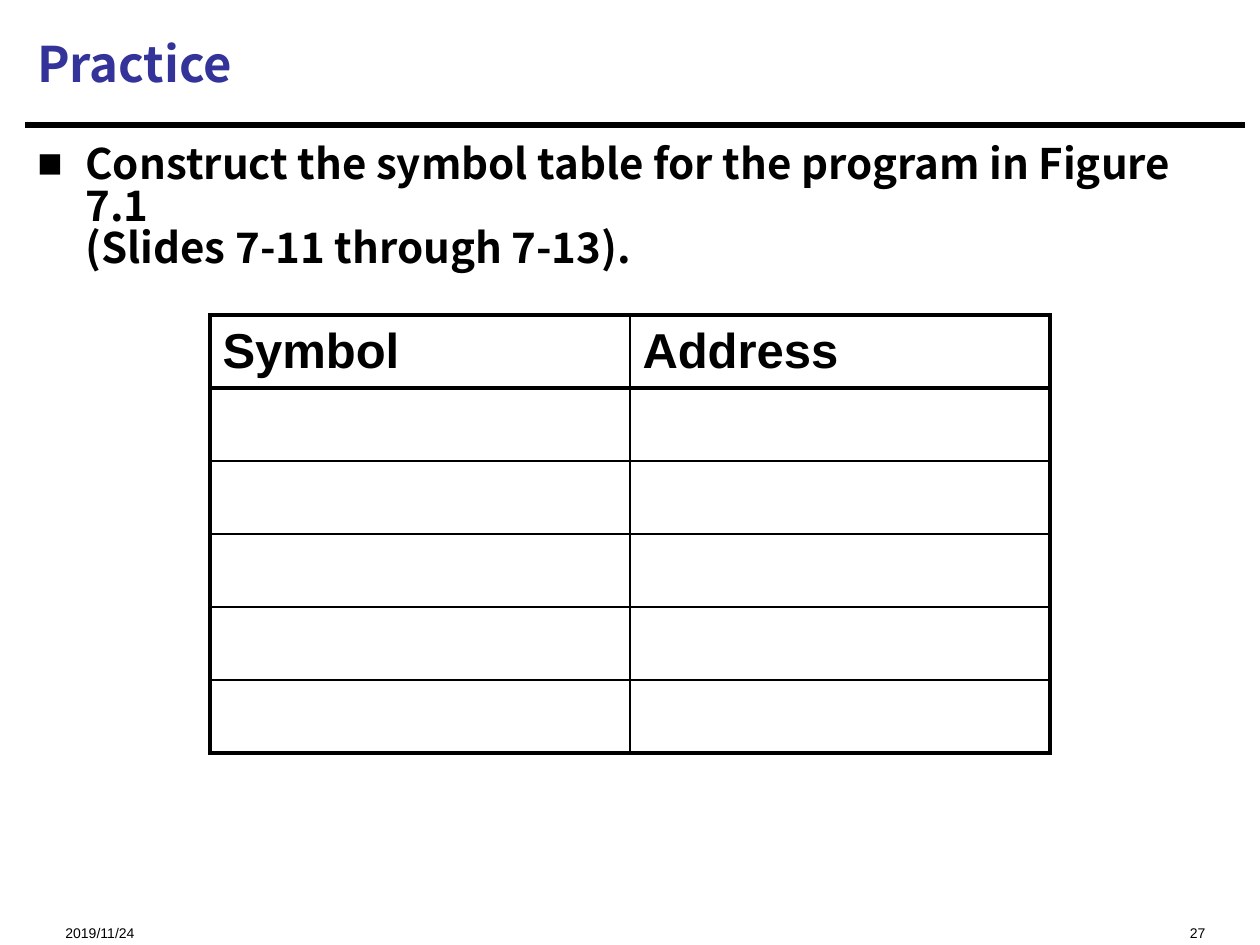
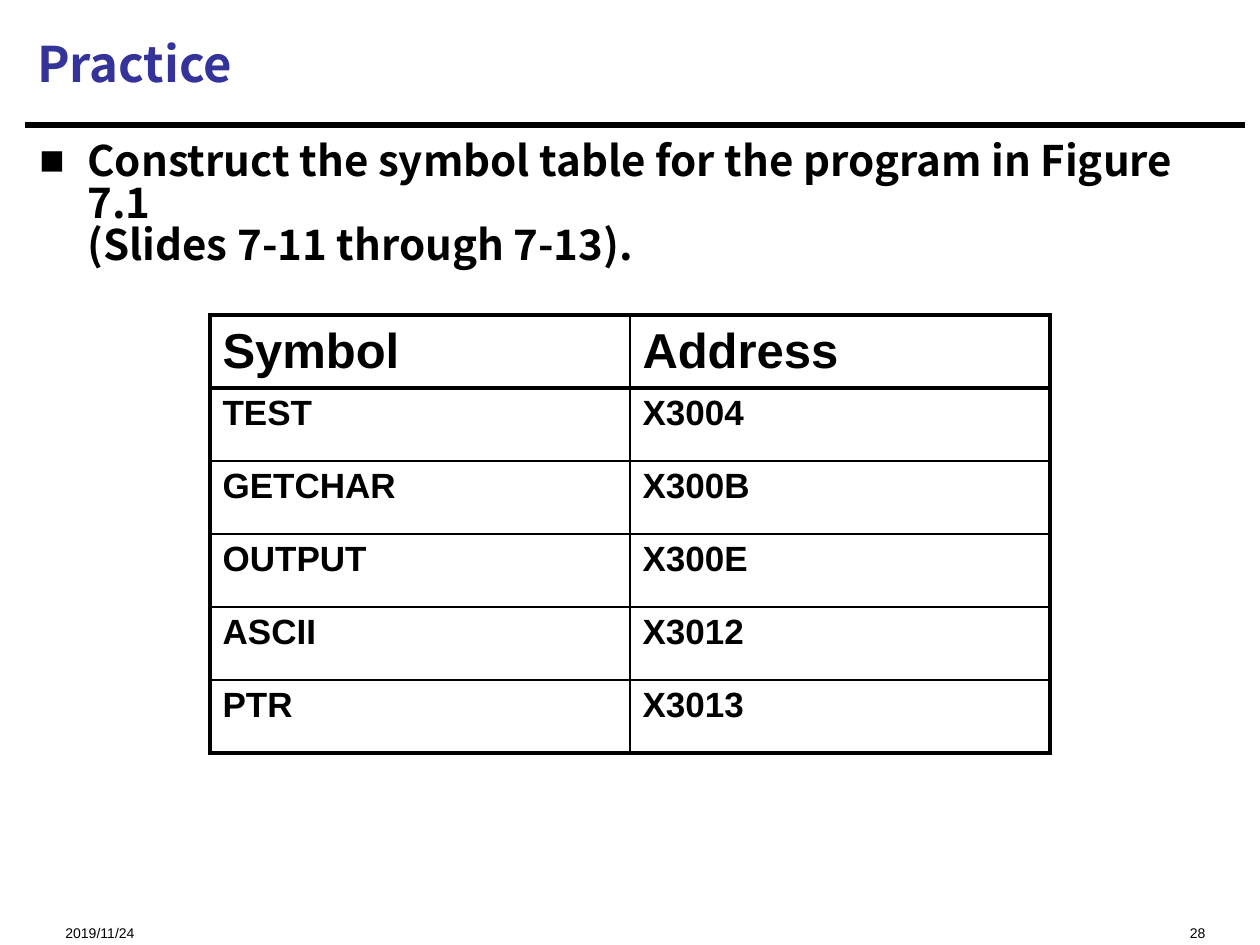
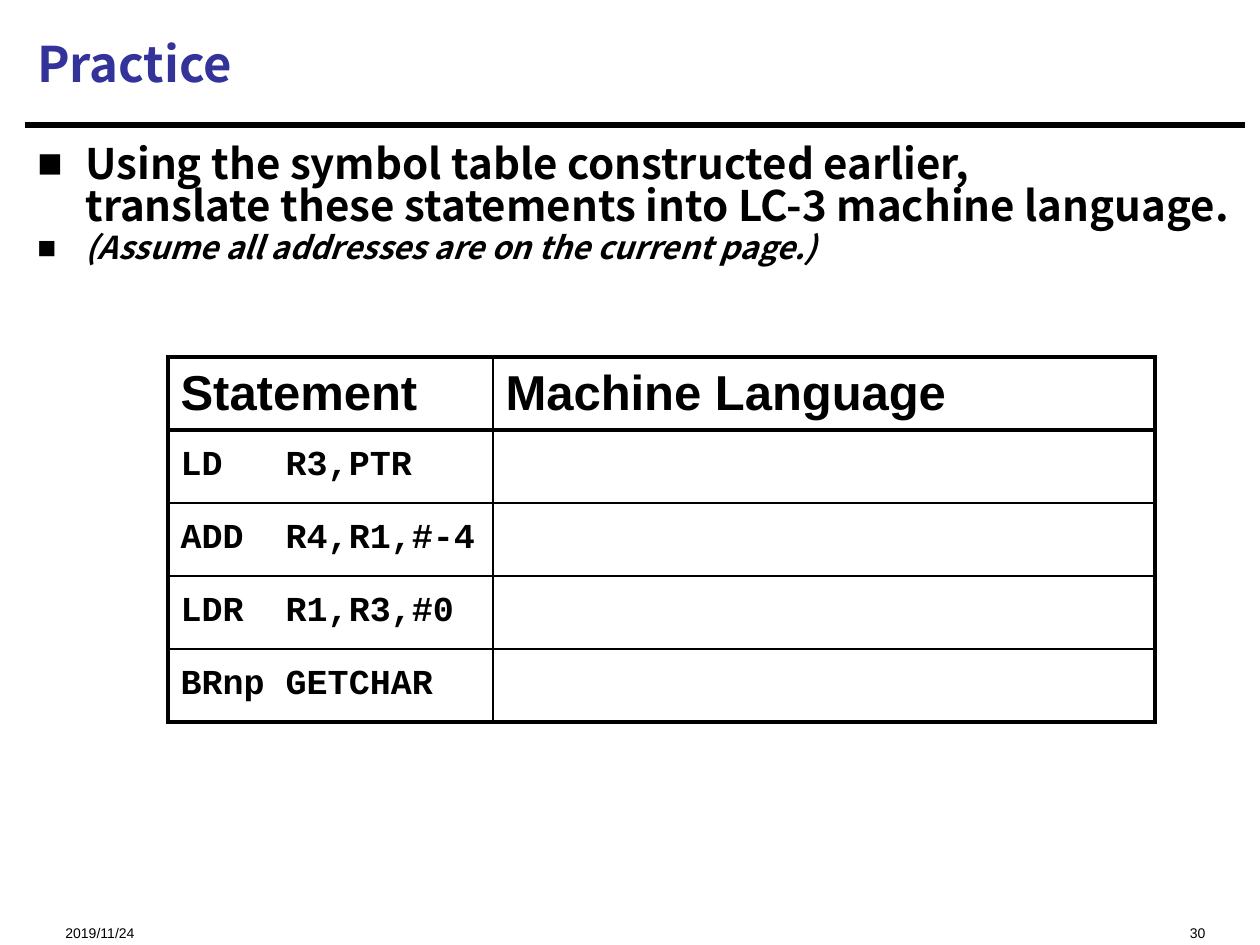
import lxml.etree
import pptx
import pptx.dml.color
import pptx.enum.shapes
import pptx.enum.text
import pptx.oxml.ns
import pptx.util

BLACK = pptx.dml.color.RGBColor(0, 0, 0)
BLUE = pptx.dml.color.RGBColor(0x33, 0x33, 0x99)
SANS = "Noto Sans CJK SC"
ARIAL = "Arial"
MONO = "Courier New"
ANCHOR = pptx.enum.text.MSO_ANCHOR
ALIGN = pptx.enum.text.PP_ALIGN
SCALE = 914400 / 126
DATE = "2019/11/24"
ROW = 73
THIN, THICK = 1, 2.25
TASK = "Construct the symbol table for the program in Figure 7.1\n(Slides 7-11 through 7-13)."
NAMES = ["Symbol", "Address"]


def px(size):
    return pptx.util.Emu(round(size * SCALE))


def add(parent, tag, **attrs):
    return lxml.etree.SubElement(parent, pptx.oxml.ns.qn(tag), attrs)


def style(para, face, size, color=BLACK, bold=False, slant=False):
    font = para.font
    font.name = face
    font.size = pptx.util.Pt(size)
    font.color.rgb = color
    font.bold = bold
    font.italic = slant


def box(slide, left, top, width, height, inset=6, anchor=ANCHOR.TOP):
    frame = slide.shapes.add_textbox(px(left), px(top), px(width), px(height)).text_frame
    frame.word_wrap = True
    frame.vertical_anchor = anchor
    frame.margin_top = px(inset)
    return frame


def rule(slide):
    line = slide.shapes.add_connector(
        pptx.enum.shapes.MSO_CONNECTOR.STRAIGHT, px(25), px(125), px(1245), px(125))
    line.line.color.rgb = BLACK
    line.line.width = pptx.util.Pt(3.75)
    add(line._element.spPr, "a:effectLst")


def foot(slide, text, left, width, align):
    para = box(slide, left, 901, width, 34, 23).paragraphs[0]
    para.text = text
    para.alignment = align
    style(para, ARIAL, 8)


def title(slide, text):
    para = box(slide, 25, 10, 1219, 106, anchor=ANCHOR.MIDDLE).paragraphs[0]
    para.text = text
    style(para, SANS, 28, BLUE, True)


def page(deck, number):
    slide = deck.slides.add_slide(deck.slide_layouts[6])
    rule(slide)
    foot(slide, DATE, 53, 315, ALIGN.LEFT)
    foot(slide, str(number), 840, 378, ALIGN.RIGHT)
    title(slide, "Practice")
    return slide


def body(slide, items, left=25, top=135):
    frame = box(slide, left, top, 1219, 755, 11)
    for index, (text, size, slant) in enumerate(items):
        para = frame.add_paragraph() if index else frame.paragraphs[0]
        para.text = text
        para.line_spacing = 0.83
        if index:
            para.space_before = pptx.util.Pt(3)
        props = para._p.get_or_add_pPr()
        props.set("marL", str(px(48)))
        props.set("indent", str(-px(48)))
        add(props, "a:buFont", typeface=ARIAL)
        add(props, "a:buChar", char="■")
        style(para, SANS, size, bold=True, slant=slant)


def edge(cell, side, width):
    line = add(cell._tc.get_or_add_tcPr(), "a:ln" + side, w=str(pptx.util.Pt(width)))
    fill = add(line, "a:solidFill")
    add(fill, "a:srgbClr", val=str(BLACK))


def grid(slide, left, top, cols, rows, face=ARIAL, anchor=ANCHOR.TOP):
    count = len(rows)
    table = slide.shapes.add_table(
        count, len(cols), px(left), px(top), px(sum(cols)), px(ROW * count)).table
    table.first_row = False
    table.horz_banding = False
    for col, width in enumerate(cols):
        table.columns[col].width = px(width)
    for row, texts in enumerate(rows):
        table.rows[row].height = px(ROW)
        head = row == 0
        for col, text in enumerate(texts):
            cell = table.cell(row, col)
            cell.vertical_anchor = ANCHOR.MIDDLE if head else anchor
            thick = {
                "L": col == 0,
                "R": col == len(cols) - 1,
                "T": row < 2,
                "B": head or row == count - 1,
            }
            for side, heavy in thick.items():
                edge(cell, side, THICK if heavy else THIN)
            cell.fill.background()
            para = cell.text_frame.paragraphs[0]
            para.text = text
            style(para, ARIAL if head else face, 28 if head else 20, bold=True)


def main():
    deck = pptx.Presentation()
    deck.slide_width = px(1260)
    deck.slide_height = px(945)

    slide = page(deck, 27)
    body(slide, [(TASK, 24, False)])
    grid(slide, 210, 315, [420, 420], [NAMES] + [["", ""]] * 5)

    slide = page(deck, 28)
    body(slide, [(TASK, 24, False)], 27, 132)
    grid(slide, 210, 315, [420, 420], [
        NAMES,
        ["TEST", "X3004"],
        ["GETCHAR", "X300B"],
        ["OUTPUT", "X300E"],
        ["ASCII", "X3012"],
        ["PTR", "X3013"],
    ])

    slide = page(deck, 30)
    grid(slide, 168, 357, [325, 662], [
        ["Statement", "Machine Language"],
        ["LD   R3,PTR", ""],
        ["ADD  R4,R1,#-4", ""],
        ["LDR  R1,R3,#0", ""],
        ["BRnp GETCHAR", ""],
    ], MONO, ANCHOR.MIDDLE)
    body(slide, [
        ("Using the symbol table constructed earlier,\n"
         "translate these statements into LC-3 machine language.", 24, False),
        ("(Assume all addresses are on the current page.)", 18, True),
    ])

    deck.save("out.pptx")


if __name__ == "__main__":
    main()
